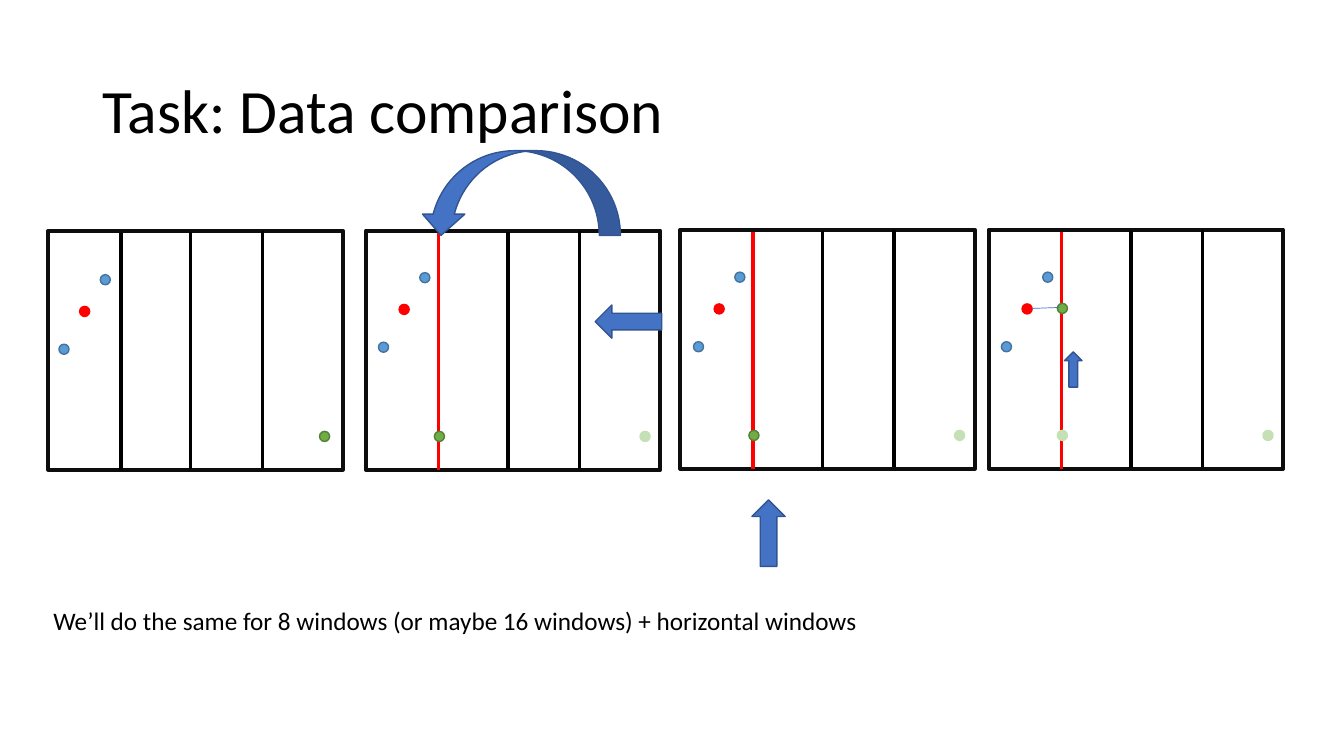
from pptx import Presentation
from pptx.dml.color import RGBColor
from pptx.enum.shapes import MSO_CONNECTOR, MSO_SHAPE
from pptx.enum.text import MSO_ANCHOR, MSO_AUTO_SIZE, PP_ALIGN
from pptx.oxml.ns import qn
from pptx.util import Pt
from lxml import etree

STRAIGHT = MSO_CONNECTOR.STRAIGHT
RECTANGLE = MSO_SHAPE.RECTANGLE
OVAL = MSO_SHAPE.OVAL
UP_ARROW = MSO_SHAPE.UP_ARROW
CURVED_ARROW = MSO_SHAPE.CURVED_RIGHT_ARROW
MIDDLE = MSO_ANCHOR.MIDDLE
TOP = MSO_ANCHOR.TOP
LEFT = PP_ALIGN.LEFT
NO_AUTOFIT = MSO_AUTO_SIZE.NONE
FIT_SHAPE = MSO_AUTO_SIZE.SHAPE_TO_FIT_TEXT

BLACK, RED, ARROW_BLUE = "000000", "FF0000", "4472C4"
RED_DOT = (RED, RED)
BLUE_DOT = ("5B9BD5", "43739E")
GREEN_DOT = ("70AD47", "538035")
PALE_DOT = ("C5E0B4", "C5E0B4")

PANEL_WIDTH, PANEL_HEIGHT = 210.24, 170.64
DIVIDERS = [(51.84, 1.44), (101.52, 0.72), (152.64, 0)]
DIVIDER_LENGTH = 169.2
DOT_SIZE = 7.2
BLUE_OFFSETS = [(-14.76, 27), (14.76, -22.68)]
TARGET_DROP, SHIFTED_LEFT = 143.28, 48.96


def color(value):
    return RGBColor.from_string(value)


class SlideBuilder:
    font = "Calibri"

    def __init__(self, page):
        self.page = page

    def text(self, box, words, size, anchor, auto_size, spacing=1.0):
        frame = box.text_frame
        frame.word_wrap = True
        frame.auto_size = auto_size
        frame.vertical_anchor = anchor
        para = frame.paragraphs[0]
        para.text = words
        para.alignment = LEFT
        para.line_spacing = spacing
        para.font.name = self.font
        para.font.size = Pt(size)
        para.font.color.rgb = color(BLACK)

    def title(self, words, left, top, width, height):
        box = self.page.shapes.title
        box.left, box.top, box.width, box.height = map(Pt, (left, top, width, height))
        self.text(box, words, 44, MIDDLE, NO_AUTOFIT, 0.9)

    def caption(self, words, left, top, width, height):
        box = self.page.shapes.add_textbox(*map(Pt, (left, top, width, height)))
        self.text(box, words, 18, TOP, FIT_SHAPE)

    def shape(self, kind, left, top, width, height, fill, line, weight=1, group=None):
        shapes = (group or self.page).shapes
        shape = shapes.add_shape(kind, *map(Pt, (left, top, width, height)))
        shape.shadow.inherit = False
        if fill:
            shape.fill.solid()
            shape.fill.fore_color.rgb = color(fill)
        else:
            shape.fill.background()
        shape.line.color.rgb = color(line)
        shape.line.width = Pt(weight)
        return shape

    def dot(self, left, top, style, group=None):
        self.shape(OVAL, left, top, DOT_SIZE, DOT_SIZE, *style, group=group)

    def arrow(self, kind, left, top, width, height, rotation=0):
        arrow = self.shape(kind, left, top, width, height, ARROW_BLUE, "325491")
        arrow.rotation = rotation

    def line(self, start_x, start_y, end_x, end_y, stroke, weight, group=None):
        shapes = (group or self.page).shapes
        line = shapes.add_connector(STRAIGHT, *map(Pt, (start_x, start_y, end_x, end_y)))
        line.line.color.rgb = color(stroke)
        line.line.width = Pt(weight)
        properties = line._element.find(qn("p:spPr"))
        etree.SubElement(properties, qn("a:effectLst"))

    def panel(self, left, top, first_divider, target_left, target_style):
        group = self.page.shapes.add_group_shape()
        self.shape(RECTANGLE, left, top, PANEL_WIDTH, PANEL_HEIGHT, None, "0D0D0D", 3, group)
        for stroke, (across, down) in zip((first_divider, BLACK, BLACK), DIVIDERS):
            x, y = left + across, top + down
            self.line(x, y, x, y + DIVIDER_LENGTH, stroke, 2.25, group)
        self.dot(left + target_left, top + TARGET_DROP, target_style, group)

    def sample(self, left, top):
        self.dot(left, top, RED_DOT)
        for across, down in BLUE_OFFSETS:
            self.dot(left + across, top + down, BLUE_DOT)


def main():
    deck = Presentation()
    deck.slide_width, deck.slide_height = Pt(960), Pt(540)
    page = deck.slides.add_slide(deck.slide_layouts[5])
    builder = SlideBuilder(page)
    builder.title("Task: Data comparison", 66, 28.75, 828, 104.4)

    panels = [
        (34.56, 164.88, BLACK, 193.68, GREEN_DOT, 56.88, 218.88),
        (261.36, 164.88, RED, 195.84, PALE_DOT, 285.12, 217.44),
        (486, 164.16, RED, 195.84, PALE_DOT, 510.12, 217.08),
        (706.32, 164.16, RED, 195.84, PALE_DOT, 730.08, 217.08),
    ]
    shifted_dots = [None, GREEN_DOT, GREEN_DOT, PALE_DOT]
    for (left, top, stroke, target, style, red_left, red_top), shifted in zip(panels, shifted_dots):
        builder.panel(left, top, stroke, target, style)
        builder.sample(red_left, red_top)
        if shifted:
            builder.dot(left + SHIFTED_LEFT, top + TARGET_DROP, shifted)

    builder.arrow(UP_ARROW, 437.04, 205.92, 23.76, 47.52, 270)
    builder.arrow(CURVED_ARROW, 341.28, 66.24, 60.48, 143.28, 90)
    builder.arrow(UP_ARROW, 537.12, 357.12, 23.76, 47.52)
    builder.arrow(UP_ARROW, 760.32, 251.28, 12.6, 25.2)
    builder.dot(755.28, 216.72, GREEN_DOT)
    builder.line(737.28, 220.32, 756.72, 219.6, ARROW_BLUE, 0.5)

    builder.caption(
        "We’ll do the same for 8 windows (or maybe 16 windows) + horizontal windows",
        30.96, 429.12, 865.44, 28.8,
    )
    deck.save("out.pptx")


if __name__ == "__main__":
    main()
